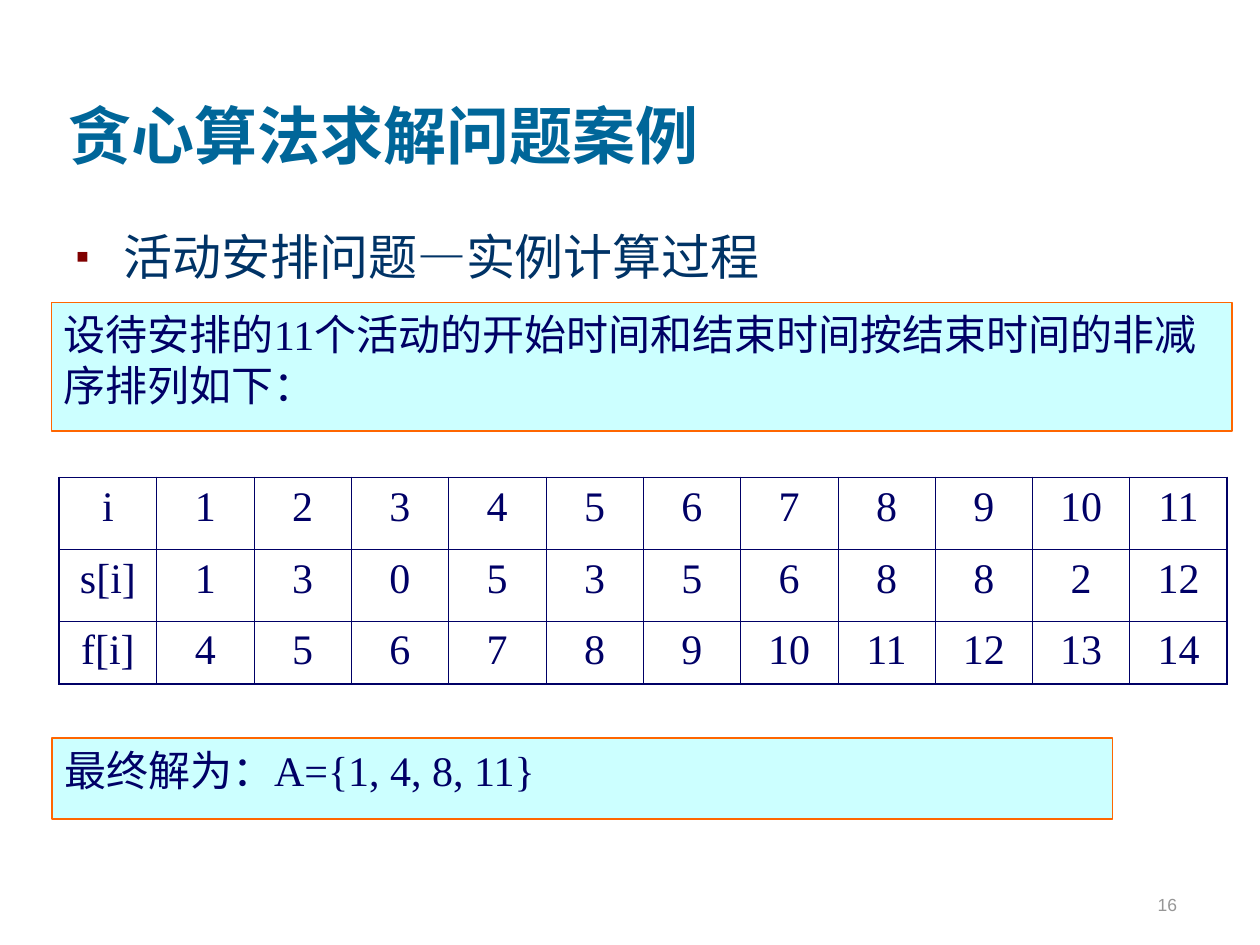
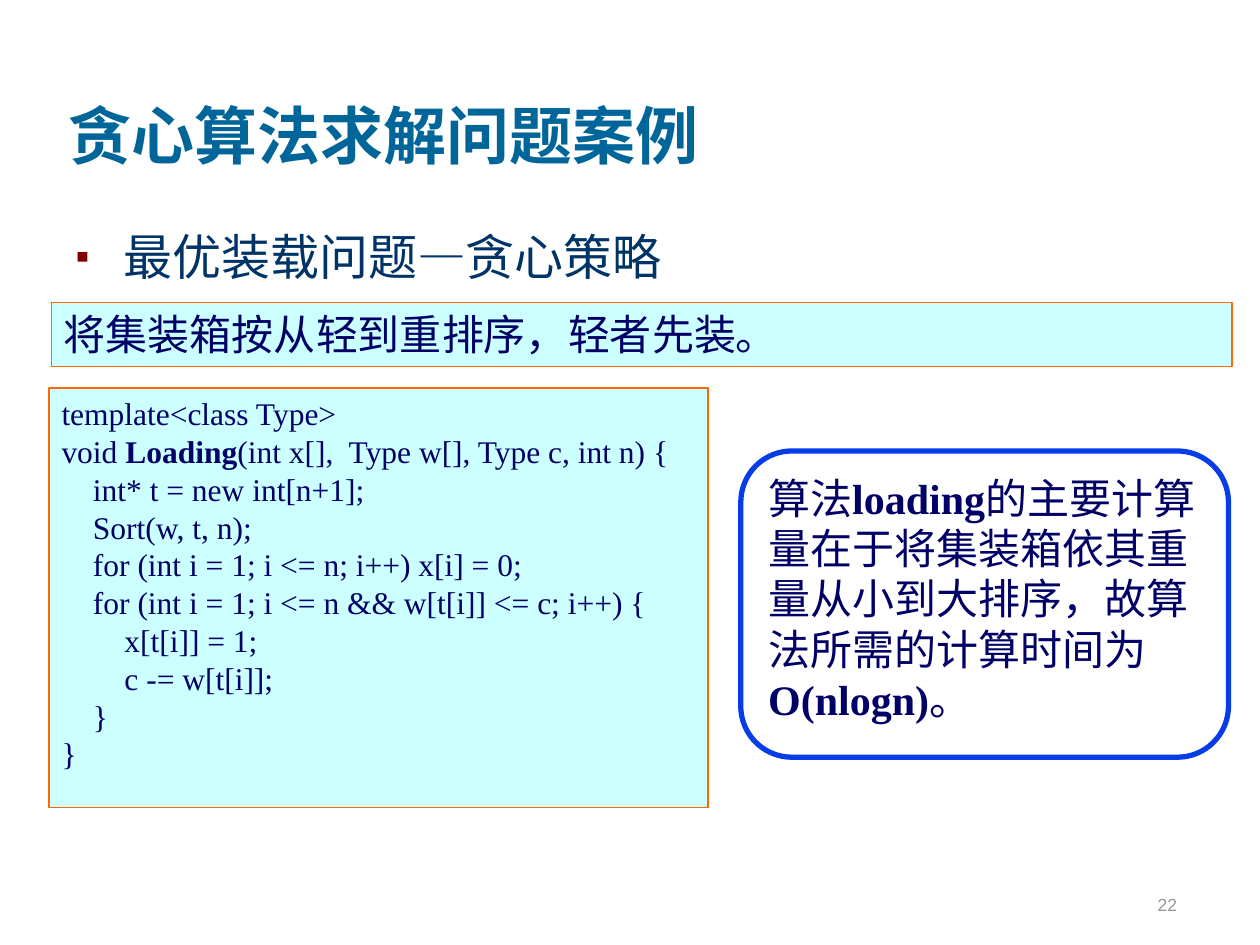
"""Build two slides on greedy algorithm cases: activity scheduling and optimal loading."""
from lxml import etree
from pptx import Presentation
from pptx.dml.color import RGBColor
from pptx.enum.shapes import MSO_SHAPE
from pptx.enum.text import MSO_ANCHOR, MSO_AUTO_SIZE, PP_ALIGN
from pptx.oxml.ns import qn
from pptx.util import Inches, Pt

RECT, ROUND = MSO_SHAPE.RECTANGLE, MSO_SHAPE.ROUNDED_RECTANGLE
LEFT, CENTER, RIGHT = PP_ALIGN.LEFT, PP_ALIGN.CENTER, PP_ALIGN.RIGHT
TOP, BOTTOM = MSO_ANCHOR.TOP, MSO_ANCHOR.BOTTOM
NO_FIT = MSO_AUTO_SIZE.NONE

COLORS = {
    "title": "006699", "heading": "003366", "bullet": "800000", "number": "969696",
    "text": "000066", "panel": "CCFFFF", "panel_line": "FF6600",
    "note": "FFFFFF", "note_line": "063DE8",
}
SERIF = "Times New Roman"
TITLE = {"name": SERIF, "size": Pt(36), "bold": True, "color": "title"}
HEADING = {"name": SERIF, "size": Pt(28), "bold": False, "color": "heading"}
NUMBER = {"name": "Arial", "size": Pt(10), "bold": False, "color": "number"}
TEXT = {"name": SERIF, "size": Pt(24), "bold": False, "color": "text"}
CODE = {**TEXT, "size": Pt(18)}
BOLD = {"bold": True}
THIN, THICK = 0.45, 1.08

ACTIVITIES = [
    ["i", *range(1, 12)],
    ["s[i]", 1, 3, 0, 5, 3, 5, 6, 8, 8, 2, 12],
    ["f[i]", *range(4, 15)],
]
LOADING_CODE = [
    ["template<class Type>"],
    ["void ", ("Loading", BOLD), "(int x[],  Type w[], Type c, int n) {"],
    ["    int* t = new int[n+1];"],
    ["    Sort(w, t, n);"],
    ["    for (int i = 1; i <= n; i++) x[i] = 0;"],
    ["    for (int i = 1; i <= n && w[t[i]] <= c; i++) {"],
    ["        x[t[i]] = 1;"],
    ["        c -= w[t[i]];"],
    ["    }"],
    ["}"],
]
LOADING_COST = [
    "算法", ("loading", BOLD),
    "的主要计算量在于将集装箱依其重量从小到大排序，故算法所需的计算时间为 ",
    ("O(nlogn)", BOLD), "。",
]


def rgb(key):
    """Return the named colour."""
    return RGBColor.from_string(COLORS[key])


def write(tf, lines, style, align=LEFT, anchor=TOP):
    """Write lines of runs; a run is a string or a (string, overrides) pair."""
    frame = {"word_wrap": True, "auto_size": NO_FIT, "vertical_anchor": anchor,
             "margin_left": Inches(0.1), "margin_right": Inches(0.1),
             "margin_top": Inches(0.05), "margin_bottom": Inches(0.05)}
    for name, value in frame.items():
        setattr(tf, name, value)
    for n, line in enumerate(lines):
        p = tf.add_paragraph() if n else tf.paragraphs[0]
        p.alignment, p.space_before = align, Pt(0)
        for part in line:
            text, changes = (part, {}) if isinstance(part, str) else part
            r = p.add_run()
            r.text = text
            style_font(r.font, {**style, **changes})


def style_font(font, style):
    """Apply a dict of format values to a font."""
    for name, value in style.items():
        if name == "color":
            font.color.rgb = rgb(value)
        else:
            setattr(font, name, value)


def place(sp, box):
    """Move and size a shape to a box in inches."""
    for name, value in zip(("left", "top", "width", "height"), box):
        setattr(sp, name, Inches(value))


def add_bullet(p):
    """Give a paragraph a hanging square bullet."""
    pPr = p._p.get_or_add_pPr()
    pPr.set("marL", str(Inches(0.38)))
    pPr.set("indent", str(-Inches(0.38)))
    color = etree.SubElement(pPr, qn("a:buClr"))
    etree.SubElement(color, qn("a:srgbClr"), val=COLORS["bullet"])
    etree.SubElement(pPr, qn("a:buSzPct"), val="80000")
    etree.SubElement(pPr, qn("a:buFont"), typeface="Arial")
    etree.SubElement(pPr, qn("a:buChar"), char="▪")


def add_slide(prs, heading, number):
    """Add a slide with the shared title, a bulleted heading and its number."""
    s = prs.slides.add_slide(prs.slide_layouts[1])
    title, body = s.shapes.title, s.placeholders[1]
    place(title, (0.44, 0.17, 8.5, 1.25))
    write(title.text_frame, [["贪心算法求解问题案例"]], TITLE, anchor=BOTTOM)
    place(body, (0.5, 1.75, 8.94, 4.88))
    write(body.text_frame, [heading], HEADING)
    add_bullet(body.text_frame.paragraphs[0])
    box = s.shapes.add_textbox(*map(Inches, (7.36, 6.81, 2.08, 0.5)))
    write(box.text_frame, [[number]], NUMBER, RIGHT, BOTTOM)
    return s


def add_panel(s, box, lines, style=TEXT, kind=RECT, look="panel", line_width=1):
    """Add an outlined, filled shape holding text."""
    sp = s.shapes.add_shape(kind, *map(Inches, box))
    sp.shadow.inherit = False
    sp.fill.solid()
    sp.fill.fore_color.rgb = rgb(look)
    sp.line.color.rgb = rgb(look + "_line")
    sp.line.width = Pt(line_width)
    write(sp.text_frame, lines, style)


def set_borders(cell, widths):
    """Draw the left, right, top and bottom borders of a cell."""
    tcPr = cell._tc.get_or_add_tcPr()
    for n, (side, width) in enumerate(zip("LRTB", widths)):
        ln = etree.Element(qn("a:ln" + side), w=str(Pt(width)))
        fill = etree.SubElement(ln, qn("a:solidFill"))
        etree.SubElement(fill, qn("a:srgbClr"), val=COLORS["text"])
        tcPr.insert(n, ln)


def add_grid(s, box, rows, heights):
    """Add a centred table with thin inner and thick outer borders."""
    last_row, last_col = len(rows) - 1, len(rows[0]) - 1
    table = s.shapes.add_table(len(rows), len(rows[0]), *map(Inches, box)).table
    table.first_row = table.horz_banding = False
    for row, height in zip(table.rows, heights):
        row.height = Inches(height)
    for i, values in enumerate(rows):
        for j, value in enumerate(values):
            cell = table.cell(i, j)
            cell.fill.background()
            write(cell.text_frame, [[str(value)]], TEXT, CENTER)
            outer = (j == 0, j == last_col, i == 0, i == last_row)
            set_borders(cell, [THICK if edge else THIN for edge in outer])


def main():
    """Build both slides and save them."""
    prs = Presentation()
    prs.slide_width, prs.slide_height = Inches(10), Inches(7.5)

    s = add_slide(prs, ["活动安排问题—", ("实例计算过程", {"name": "Cambria"})], "16")
    add_panel(s, (0.41, 2.4, 9.37, 1.02),
              [["设待安排的11个活动的开始时间和结束时间按结束时间的非减序排列如下："]])
    add_grid(s, (0.47, 3.79, 9.27, 1.64), ACTIVITIES, (0.57, 0.57, 0.5))
    add_panel(s, (0.41, 5.86, 8.42, 0.64), [["最终解为：A={1, 4, 8, 11}"]])

    s = add_slide(prs, ["最优装载问题—贪心策略"], "22")
    add_panel(s, (0.41, 2.4, 9.37, 0.51), [["将集装箱按从轻到重排序，轻者先装。"]])
    add_panel(s, (0.39, 3.08, 5.23, 3.33), LOADING_CODE, CODE)
    add_panel(s, (5.88, 3.58, 3.87, 2.43), [LOADING_COST],
              kind=ROUND, look="note", line_width=3)

    prs.save("out.pptx")


if __name__ == "__main__":
    main()
